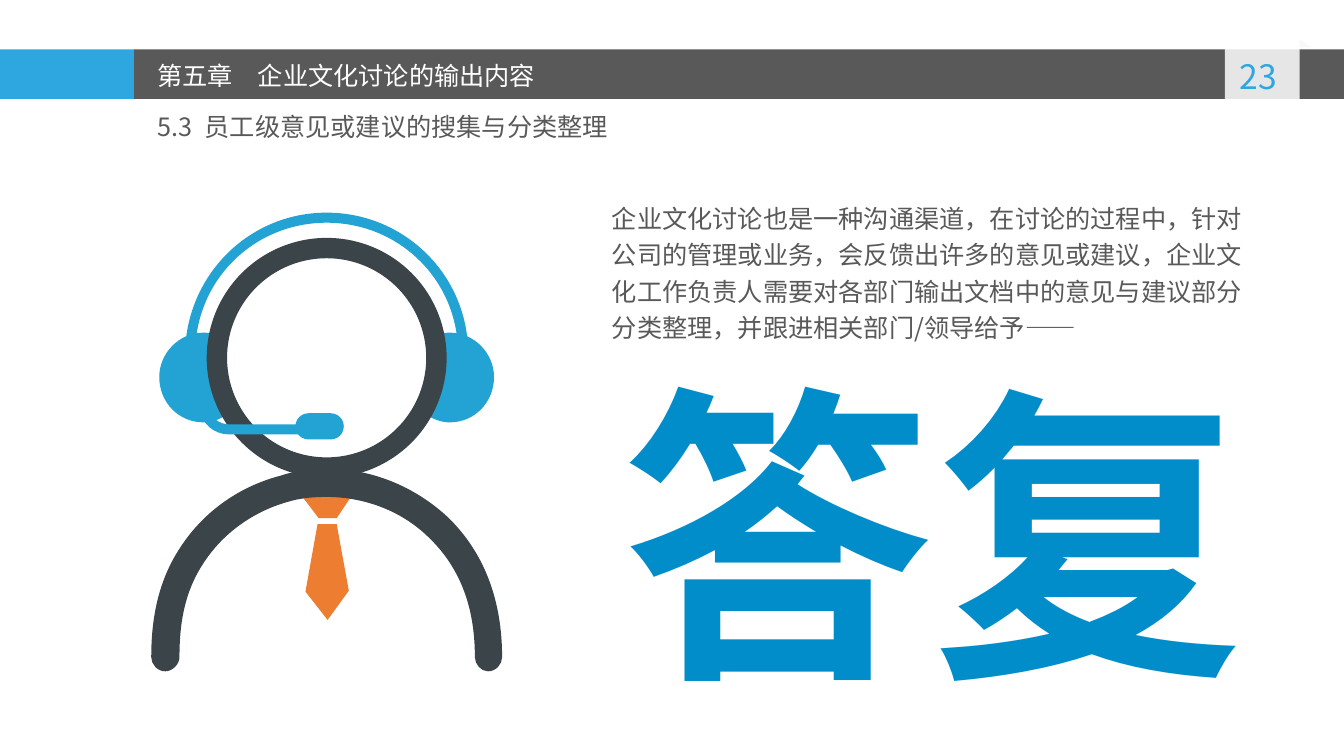
from dataclasses import dataclass
from lxml.etree import SubElement
from pptx import Presentation
from pptx.dml.color import RGBColor
from pptx.enum.shapes import MSO_SHAPE as Preset
from pptx.enum.text import MSO_AUTO_SIZE as AutoSize, PP_ALIGN as Align
from pptx.oxml.ns import qn
from pptx.util import Inches, Pt


@dataclass(frozen=True)
class Theme:
    """Hold the colours, font and type sizes of the slide."""
    font: str = "Noto Sans CJK SC"
    sky: str = "2EA7E0"
    grey: str = "595959"
    white: str = "FFFFFF"
    mist: str = "F8F8F8"
    headset: str = "23A3D4"
    body: str = "3B4449"
    tie: str = "ED7D31"
    accent: str = "008DCA"
    text_size: int = 18
    number_size: int = 24
    giant_size: int = 222


THEME = Theme()
AXIS = 1.74
FLAG = [(0, 0.69), (0, 0), (0.74, 0), (0.74, 0.69), (0.36, 0.63)]
EAR = [(0.66, 1.53), (0.66, 1.4, 0.6, 1.32, 0.67, 1.22), (0.63, 1.2, 0.58, 1.19, 0.52, 1.19),
       (0.27, 1.19, 0.08, 1.4, 0.08, 1.63), (0.08, 1.88, 0.27, 2.08, 0.52, 2.08),
       (0.6, 2.08, 0.68, 2.05, 0.74, 2.01), (0.71, 1.9, 0.66, 1.7, 0.66, 1.53)]
TIE_BLADE = [(1.65, 3.09), (1.53, 3.76), (1.75, 4.04), (1.96, 3.75), (1.84, 3.09)]
TIE_KNOT = [(1.68, 2.76), (1.62, 2.76, 1.56, 2.76, 1.5, 2.74), (1.5, 2.82), (1.66, 3.03),
            (1.84, 3.03), (1.98, 2.82), (1.98, 2.7), (1.89, 2.74, 1.79, 2.76, 1.68, 2.76)]
HEADBAND = [(0.34, 1.3), (0.4, 0.57, 1, 0, 1.74, 0), (2.48, 0, 3.09, 0.57, 3.14, 1.3),
            (3.04, 1.3), (2.99, 0.62, 2.43, 0.1, 1.74, 0.1), (1.05, 0.1, 0.49, 0.62, 0.44, 1.3)]
SHOULDERS = [(3.21, 4.41), (3.21, 3.94, 3.08, 3.53, 2.74, 3.21), (2.47, 2.95, 2.1, 2.82, 1.74, 2.82),
             (1.61, 2.82, 1.48, 2.83, 1.35, 2.87), (1, 2.97, 0.7, 3.19, 0.51, 3.49),
             (0.33, 3.77, 0.28, 4.07, 0.28, 4.41), (0.28, 4.48, 0.21, 4.55, 0.14, 4.55),
             (0.06, 4.55, 0, 4.48, 0, 4.41), (0, 4.05, 0.06, 3.68, 0.27, 3.35),
             (0.5, 2.98, 0.86, 2.72, 1.28, 2.61), (1.43, 2.56, 1.58, 2.54, 1.74, 2.54),
             (2.18, 2.54, 2.6, 2.71, 2.93, 3.01), (3.33, 3.39, 3.48, 3.89, 3.48, 4.41),
             (3.48, 4.48, 3.42, 4.55, 3.34, 4.55), (3.27, 4.55, 3.21, 4.48, 3.21, 4.41)]
BOOM = [(0.77, 2.2), (0.62, 2.2, 0.5, 2.09, 0.48, 1.95), (0.58, 1.94),
        (0.59, 2.03, 0.67, 2.1, 0.77, 2.1), (1.49, 2.1), (1.49, 2.2)]


def paint(shape, color, opacity=100):
    """Give a shape a flat fill with no line or shadow."""
    shape.shadow.inherit = False
    shape.line.fill.background()
    shape.fill.solid()
    shape.fill.fore_color.rgb = RGBColor.from_string(color)
    if opacity < 100:
        tint = next(shape.fill._xPr.iter(qn("a:srgbClr")))
        SubElement(tint, qn("a:alpha")).set("val", str(opacity * 1000))
    return shape


def add_preset(page, preset, box, color, opacity=100):
    """Add a painted preset shape."""
    return paint(page.shapes.add_shape(preset, *map(Inches, box)), color, opacity)


def bend(shape, outline):
    """Join the three line ends of each curved segment into one Bezier curve."""
    lines = iter(list(shape._element.iter(qn("a:lnTo"))))
    for segment in outline[1:]:
        line = next(lines)
        if len(segment) == 6:
            line.tag = qn("a:cubicBezTo")
            for extra in (next(lines), next(lines)):
                line.append(extra[0])
                extra.getparent().remove(extra)


def add_outline(page, box, outline, color, opacity=100, mirrored=False):
    """Add a painted freeform whose outline is relative to the box."""
    points = [(Inches(box[0] + (2 * AXIS - x if mirrored else x)), Inches(box[1] + y))
              for segment in outline for x, y in zip(segment[::2], segment[1::2])]
    builder = page.shapes.build_freeform(*points[0])
    for point in points[1:]:
        builder.add_line_segments([point], close=False)
    builder.add_line_segments([], close=True)
    shape = builder.convert_to_shape()
    bend(shape, outline)
    return paint(shape, color, opacity)


def add_text(page, box, text, color=THEME.grey, size=THEME.text_size, bold=False,
             align=Align.LEFT, wrap=True, spacing=None, before=None):
    """Add a text box holding one formatted paragraph."""
    frame = page.shapes.add_textbox(*map(Inches, box)).text_frame
    frame.word_wrap = wrap
    frame.auto_size = AutoSize.SHAPE_TO_FIT_TEXT
    para = frame.paragraphs[0]
    para.alignment = align
    if spacing:
        para.line_spacing = spacing
    if before:
        para.space_before = Pt(before)
    span = para.add_run()
    span.text = text
    span.font.name = THEME.font
    span.font.size = Pt(size)
    span.font.bold = bold
    span.font.color.rgb = RGBColor.from_string(color)
    SubElement(span._r.get_or_add_rPr(), qn("a:ea"), typeface=THEME.font)


def add_header(page, box):
    """Add the chapter bar, page number and section title."""
    left, top, width, height = box
    accent_width = 1.33
    add_preset(page, Preset.RECTANGLE, (left, top, accent_width, height), THEME.sky)
    add_preset(page, Preset.RECTANGLE,
               (left + accent_width, top, width - accent_width, height), THEME.grey)
    add_preset(page, Preset.RIGHT_TRIANGLE, (left + 12.89, top - 0.1, 0.12, 0.08), THEME.mist, 83)
    add_outline(page, (left + 12.15, top - 0.09), FLAG, THEME.white, 85)
    add_text(page, (left + 12.11, top + 0.02, 0.74, 0.5), "23", color=THEME.sky,
             size=THEME.number_size, align=Align.CENTER)
    add_text(page, (left + 1.46, top + 0.06, 5.04, 0.4), "第五章\u3000企业文化讨论的输出内容",
             color=THEME.white)
    add_text(page, (left + 1.46, top + 0.57, 5.31, 0.4), "5.3\u2002员工级意见或建议的搜集与分类整理")


def add_agent(page, box):
    """Add the support agent with headset and tie."""
    left, top = box[:2]
    for mirrored in (False, True):
        add_outline(page, box, EAR, THEME.headset, mirrored=mirrored)
    for outline in (TIE_BLADE, TIE_KNOT):
        add_outline(page, box, outline, THEME.tie)
    head = add_preset(page, Preset.DONUT, (left + 0.55, top + 0.25, 2.38, 2.38), THEME.body)
    head.adjustments[0] = 0.085
    add_outline(page, box, HEADBAND, THEME.headset)
    add_outline(page, box, SHOULDERS, THEME.body)
    mouthpiece = add_preset(page, Preset.ROUNDED_RECTANGLE,
                            (left + 1.43, top + 1.99, 0.48, 0.26), THEME.headset)
    mouthpiece.adjustments[0] = 0.5
    add_outline(page, box, BOOM, THEME.headset)


def add_message(page, box):
    """Add the explanation and the giant key word."""
    left, top, width, height = box
    add_text(page, (left, top, width, 1.56),
             "企业文化讨论也是一种沟通渠道，在讨论的过程中，针对公司的管理或业务，"
             "会反馈出许多的意见或建议，企业文化工作负责人需要对各部门输出文档中的"
             "意见与建议部分分类整理，并跟进相关部门/领导给予——", spacing=1.2, before=6)
    add_text(page, (left + 0.11, top + 1.44, 6.37, height - 1.44), "答复", color=THEME.accent,
             size=THEME.giant_size, bold=True, wrap=False)


def main():
    """Build and save the deck."""
    deck = Presentation()
    deck.slide_width, deck.slide_height = Inches(13.33), Inches(7.5)
    page = deck.slides.add_slide(deck.slide_layouts[6])
    add_header(page, (0, 0.49, 13.33, 0.49))
    add_agent(page, (1.5, 2.11, 3.48, 4.55))
    add_message(page, (5.97, 1.91, 6.64, 5.24))
    deck.save("out.pptx")


main()
